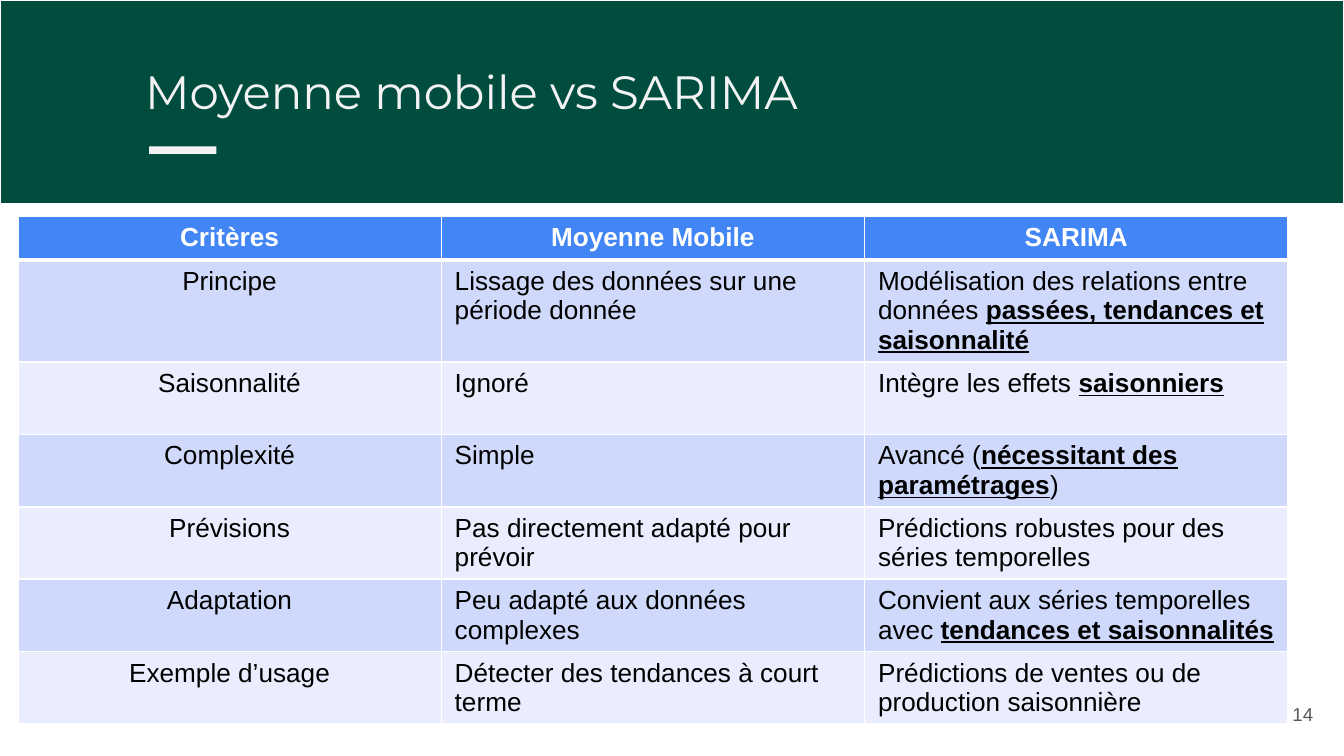
import pptx
import pptx.util
from lxml import etree
from pptx.dml.color import RGBColor
from pptx.enum.shapes import MSO_SHAPE
from pptx.enum.text import MSO_ANCHOR, MSO_AUTO_SIZE, PP_ALIGN
from pptx.oxml.ns import qn

Pt = pptx.util.Pt

TITLE = "Moyenne mobile vs SARIMA"
PAGE_NUMBER = "14"
# Text between ** marks is bold and underlined.
ROWS = [
    ("Critères", "Moyenne Mobile", "SARIMA"),
    ("Principe", "Lissage des données sur une période donnée",
     "Modélisation des relations entre données **passées, tendances et saisonnalité**"),
    ("Saisonnalité", "Ignoré", "Intègre les effets **saisonniers**"),
    ("Complexité", "Simple", "Avancé (**nécessitant des paramétrages**)"),
    ("Prévisions", "Pas directement adapté pour prévoir",
     "Prédictions robustes pour des séries temporelles"),
    ("Adaptation", "Peu adapté aux données complexes",
     "Convient aux séries temporelles avec **tendances et saisonnalités**"),
    ("Exemple d’usage", "Détecter des tendances à court terme",
     "Prédictions de ventes ou de production saisonnière"),
]
ROW_HEIGHTS = [23.7, 54.7] + [38.8] * 5
COLUMN_WIDTH = 226.8

WHITE = RGBColor(0xFF, 0xFF, 0xFF)
BLACK = RGBColor(0x00, 0x00, 0x00)
GREEN = RGBColor(0x00, 0x4D, 0x40)
PALE_GREY = RGBColor(0xF3, 0xF3, 0xF3)
DARK_GREY = RGBColor(0x59, 0x59, 0x59)
HEADER_BLUE = RGBColor(0x42, 0x85, 0xF4)
BANDS = [RGBColor(0xCF, 0xD9, 0xFB), RGBColor(0xE9, 0xED, 0xFD)]


def format_font(font, color, **values):
    font.color.rgb = color
    for name, value in values.items():
        setattr(font, name, value)


def place(shape, left, top, width, height):
    bounds = {"left": left, "top": top, "width": width, "height": height}
    for name, value in bounds.items():
        setattr(shape, name, Pt(value))


def set_text(shape, text, alignment, anchor, color, **font_values):
    frame = shape.text_frame
    frame.text = text
    values = {"word_wrap": True, "auto_size": MSO_AUTO_SIZE.NONE, "vertical_anchor": anchor}
    for side in ("left", "top", "right", "bottom"):
        values["margin_" + side] = Pt(7.2)
    for name, value in values.items():
        setattr(frame, name, value)
    paragraph = frame.paragraphs[0]
    paragraph.alignment = alignment
    format_font(paragraph.runs[0].font, color, **font_values)


def add_rectangle(slide, color, *bounds):
    shape = slide.shapes.add_shape(MSO_SHAPE.RECTANGLE, *map(Pt, bounds))
    shape.shadow.inherit = False
    shape.fill.solid()
    shape.fill.fore_color.rgb = color
    shape.line.fill.background()
    return shape


def set_borders(cell, bottom_width):
    properties = cell._tc.get_or_add_tcPr()
    for side, width in (("L", 1), ("R", 1), ("T", 1), ("B", bottom_width)):
        line = etree.SubElement(properties, qn("a:ln" + side), w=str(Pt(width)))
        fill = etree.SubElement(line, qn("a:solidFill"))
        etree.SubElement(fill, qn("a:srgbClr"), val=str(WHITE))


def fill_cell(cell, text, row, column):
    is_header = row == 0
    set_borders(cell, 3 if is_header else 1)
    cell.fill.solid()
    cell.fill.fore_color.rgb = HEADER_BLUE if is_header else BANDS[(row - 1) % 2]
    cell.vertical_anchor = MSO_ANCHOR.MIDDLE if is_header else MSO_ANCHOR.TOP
    paragraph = cell.text_frame.paragraphs[0]
    paragraph.alignment = PP_ALIGN.CENTER if is_header or column == 0 else PP_ALIGN.LEFT
    for index, part in enumerate(text.split("**")):
        if part:
            run = paragraph.add_run()
            run.text = part
            stressed = index % 2 == 1
            format_font(run.font, WHITE if is_header else BLACK, name="Arial", size=Pt(14),
                        bold=is_header or stressed, underline=stressed)


def add_comparison_table(slide):
    columns = len(ROWS[0])
    table = slide.shapes.add_table(
        len(ROWS), columns, Pt(9.6), Pt(115.6),
        Pt(COLUMN_WIDTH * columns), Pt(sum(ROW_HEIGHTS))).table
    for column in table.columns:
        column.width = Pt(COLUMN_WIDTH)
    for row, texts in enumerate(ROWS):
        table.rows[row].height = Pt(ROW_HEIGHTS[row])
        for column, text in enumerate(texts):
            fill_cell(table.cell(row, column), text, row, column)


def main():
    presentation = pptx.Presentation()
    presentation.slide_width, presentation.slide_height = Pt(720), Pt(405)
    slide = presentation.slides.add_slide(presentation.slide_layouts[5])

    title = slide.shapes.title
    place(title, 70.6, 26.6, 671, 45.4)
    set_text(title, TITLE, PP_ALIGN.LEFT, MSO_ANCHOR.TOP, PALE_GREY,
             name="Montserrat", size=Pt(25))

    band = add_rectangle(slide, GREEN, 0, 0, 720, 109.4)
    band.line.color.rgb = WHITE
    band.line.width = Pt(0.75)
    title._element.addprevious(band._element)
    add_rectangle(slide, PALE_GREY, 79.9, 78.4, 36, 4.1)

    page_number = slide.shapes.add_textbox(Pt(667.4), Pt(367.2), Pt(43.2), Pt(31))
    set_text(page_number, PAGE_NUMBER, PP_ALIGN.RIGHT, MSO_ANCHOR.MIDDLE, DARK_GREY,
             name="Arial", size=Pt(10))

    add_comparison_table(slide)
    presentation.save("out.pptx")


if __name__ == "__main__":
    main()
